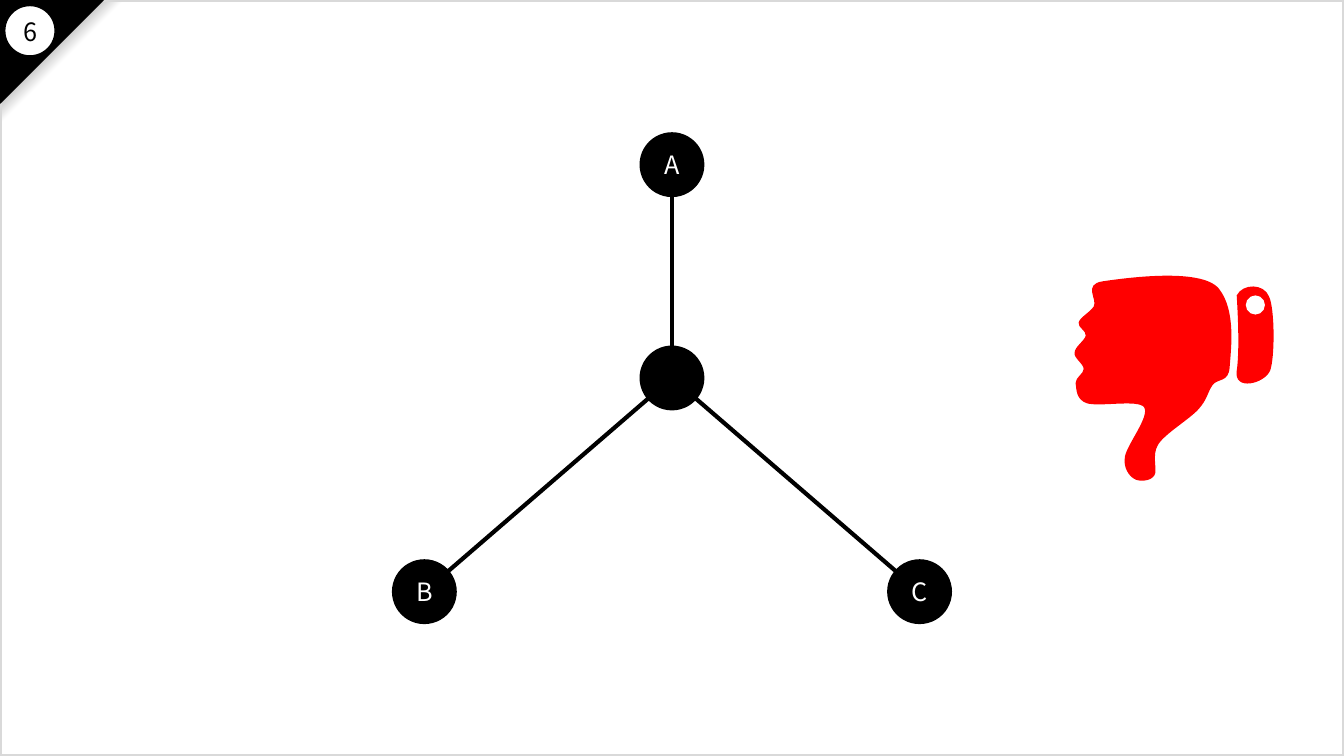
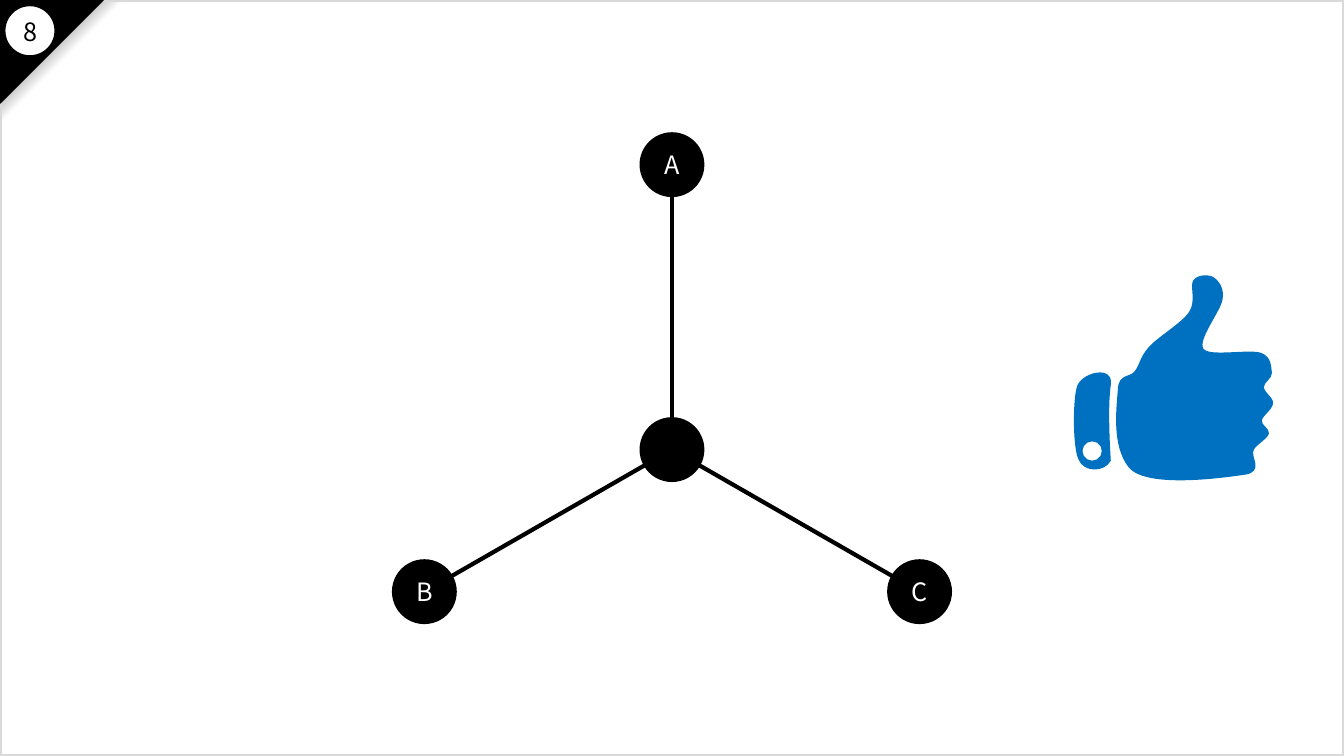
from dataclasses import dataclass

from lxml import etree
from pptx import Presentation
from pptx.dml.color import RGBColor
from pptx.enum.shapes import MSO_CONNECTOR, MSO_SHAPE
from pptx.enum.text import MSO_ANCHOR, MSO_AUTO_SIZE, PP_ALIGN
from pptx.oxml import parse_xml
from pptx.oxml.ns import nsdecls, qn
from pptx.util import Cm, Pt

ELLIPSE = MSO_SHAPE.OVAL
RECTANGLE = MSO_SHAPE.RECTANGLE
RIGHT_TRIANGLE = MSO_SHAPE.RIGHT_TRIANGLE
STRAIGHT = MSO_CONNECTOR.STRAIGHT
CENTER = PP_ALIGN.CENTER
MIDDLE = MSO_ANCHOR.MIDDLE
FIT_SHAPE = MSO_AUTO_SIZE.SHAPE_TO_FIT_TEXT


@dataclass(frozen=True)
class Theme:
    ink: str = "000000"
    paper: str = "FFFFFF"
    frame: str = "D9D9D9"
    bad: str = "FF0000"
    good: str = "0070C0"
    font: str = "Noto Sans CJK JP"
    text_size: int = Pt(18)
    thin: int = Pt(1)
    thick: int = Pt(3)


THEME = Theme()
SLIDE_WIDTH, SLIDE_HEIGHT = Cm(33.87), Cm(19.05)
MIDDLE_X, MIDDLE_Y = SLIDE_WIDTH // 2, SLIDE_HEIGHT // 2

SLIDES = [
    {"number": "6", "hub": (MIDDLE_X, MIDDLE_Y), "rotation": 180, "color": THEME.bad},
    {"number": "8", "hub": (MIDDLE_X, Cm(11.33)), "rotation": 0, "color": THEME.good},
]
NODE_SPREAD, NODE_TOP, NODE_BASE = Cm(6.24), Cm(4.15), Cm(14.91)
NODES = {
    "A": (MIDDLE_X, NODE_TOP),
    "B": (MIDDLE_X - NODE_SPREAD, NODE_BASE),
    "C": (MIDDLE_X + NODE_SPREAD, NODE_BASE),
}
NODE_SIZE = Cm(1.6)

CORNER_SIZE = Cm(2.6)
CORNER_SHADOW_SIZE = Cm(3.12)
SHADOW_STOPS = [(0, "FFFFFF"), (50, "FFFFFF"), (70, "808080"), (100, "000000")]
BADGE = (Cm(0.12), Cm(0.14), Cm(1.27), Cm(1.27))
NUMBER_BOX = (Cm(0.31), Cm(0.28), Cm(0.91), Cm(1.02))

ICON_CENTER = (Cm(29.58), MIDDLE_Y)
ICON_GRID = (197, 204)
ICON_UNIT = Cm(5) / ICON_GRID[0]
HAND = [
    (43, 113),
    (44, 97), (55, 102), (60, 95),
    (65, 88), (65, 81), (74, 71),
    (83, 61), (107, 47), (114, 36),
    (121, 25), (114, 10), (118, 5),
    (122, -1), (134, -1), (138, 2),
    (143, 5), (149, 13), (147, 24),
    (145, 36), (122, 64), (128, 73),
    (134, 81), (173, 73), (185, 77),
    (196, 81), (195, 91), (196, 97),
    (196, 103), (188, 106), (188, 111),
    (188, 116), (198, 122), (197, 127),
    (197, 133), (187, 139), (186, 144),
    (185, 149), (194, 152), (193, 157),
    (192, 162), (182, 167), (178, 173),
    (174, 180), (189, 195), (169, 198),
    (148, 201), (72, 212), (54, 191),
    (36, 169), (42, 129), (43, 113),
]
CUFF = [
    (3, 109),
    (-2, 121), (-2, 171), (4, 183),
    (9, 196), (30, 196), (36, 184),
    (35, 168), (33, 129), (36, 109),
    (39, 89), (9, 96), (3, 109),
]
BUTTON_CENTER, BUTTON_SIZE = (17.5, 174.5), 19


def style(shape, fill=None, line=None, width=THEME.thin):
    shape.shadow.inherit = False
    for part, color in ((shape.fill, fill), (shape.line.fill, line)):
        if color is None:
            part.background()
        else:
            part.solid()
            part.fore_color.rgb = RGBColor.from_string(color)
    if line is not None:
        shape.line.width = width


def write(shape, text, color):
    paragraph = shape.text_frame.paragraphs[0]
    paragraph.alignment = CENTER
    run = paragraph.add_run()
    run.text = text
    run.font.name = THEME.font
    run.font.size = THEME.text_size
    run.font.color.rgb = RGBColor.from_string(color)


def add_circle(shapes, center, size, fill, line=None):
    left, top = (round(value - size / 2) for value in center)
    circle = shapes.add_shape(ELLIPSE, left, top, size, size)
    style(circle, fill, line)
    return circle


def add_corner(shapes, size):
    corner = shapes.add_shape(RIGHT_TRIANGLE, 0, 0, size, size)
    corner.rotation = 90
    return corner


def fill_with_shadow(shape):
    style(shape)
    stops = "".join(
        f'<a:gs pos="{position * 1000}"><a:srgbClr val="{color}"/></a:gs>'
        for position, color in SHADOW_STOPS
    )
    gradient = parse_xml(
        f'<a:gradFill rotWithShape="1" {nsdecls("a")}><a:gsLst>{stops}</a:gsLst>'
        '<a:lin ang="8100000" scaled="0"/></a:gradFill>'
    )
    properties = shape._element.spPr
    properties.replace(properties.find(qn("a:noFill")), gradient)


def decorate_layout(layout, slide):
    shapes = slide.shapes
    fill_with_shadow(add_corner(shapes, CORNER_SHADOW_SIZE))
    frame = shapes.add_shape(RECTANGLE, 0, 0, SLIDE_WIDTH, SLIDE_HEIGHT)
    style(frame, line=THEME.frame, width=THEME.thick)
    style(add_corner(shapes, CORNER_SIZE), THEME.ink, THEME.ink)
    style(shapes.add_shape(ELLIPSE, *BADGE), THEME.paper, THEME.ink)
    for placeholder in list(layout.placeholders):
        layout.shapes._spTree.remove(placeholder._element)
    for shape in list(shapes):
        layout.shapes._spTree.append(shape._element)


def add_number(slide, number):
    box = slide.shapes.add_textbox(*NUMBER_BOX)
    box.text_frame.word_wrap = False
    box.text_frame.auto_size = FIT_SHAPE
    write(box, number, THEME.ink)


def add_network(slide, hub):
    for center in NODES.values():
        spoke = slide.shapes.add_connector(STRAIGHT, *center, *hub)
        spoke.line.color.rgb = RGBColor.from_string(THEME.ink)
        spoke.line.width = THEME.thick
        etree.SubElement(spoke._element.spPr, qn("a:effectLst"))
    add_circle(slide.shapes, hub, NODE_SIZE, THEME.ink, THEME.ink)
    for label, center in NODES.items():
        node = add_circle(slide.shapes, center, NODE_SIZE, THEME.ink, THEME.ink)
        node.text_frame.vertical_anchor = MIDDLE
        write(node, label, THEME.paper)


def place(point):
    return tuple(
        round(center + (value - extent / 2) * ICON_UNIT)
        for center, value, extent in zip(ICON_CENTER, point, ICON_GRID)
    )


def add_curved_outline(shapes, outline, color):
    points = [place(point) for point in outline]
    builder = shapes.build_freeform(*points[0])
    builder.add_line_segments(points[3::3], close=True)
    shape = builder.convert_to_shape()
    segments = list(shape._element.iter(qn("a:lnTo")))
    for index, segment in enumerate(segments):
        curve = etree.Element(qn("a:cubicBezTo"))
        for x, y in points[3 * index + 1:3 * index + 4]:
            corner = etree.SubElement(curve, qn("a:pt"))
            corner.set("x", str(x - shape.left))
            corner.set("y", str(y - shape.top))
        segment.getparent().replace(segment, curve)
    style(shape, color)


def add_thumb(slide, rotation, color):
    group = slide.shapes.add_group_shape()
    for outline in (HAND, CUFF):
        add_curved_outline(group.shapes, outline, color)
    button_size = round(BUTTON_SIZE * ICON_UNIT)
    add_circle(group.shapes, place(BUTTON_CENTER), button_size, THEME.paper)
    if rotation:
        group.rotation = rotation
        group.left = 2 * ICON_CENTER[0] - group.left - group.width
        group.top = 2 * ICON_CENTER[1] - group.top - group.height


def main():
    presentation = Presentation()
    presentation.slide_width = SLIDE_WIDTH
    presentation.slide_height = SLIDE_HEIGHT
    layout = presentation.slide_layouts[6]
    for index, content in enumerate(SLIDES):
        slide = presentation.slides.add_slide(layout)
        if index == 0:
            decorate_layout(layout, slide)
        add_network(slide, content["hub"])
        add_number(slide, content["number"])
        add_thumb(slide, content["rotation"], content["color"])
    presentation.save("out.pptx")


if __name__ == "__main__":
    main()
